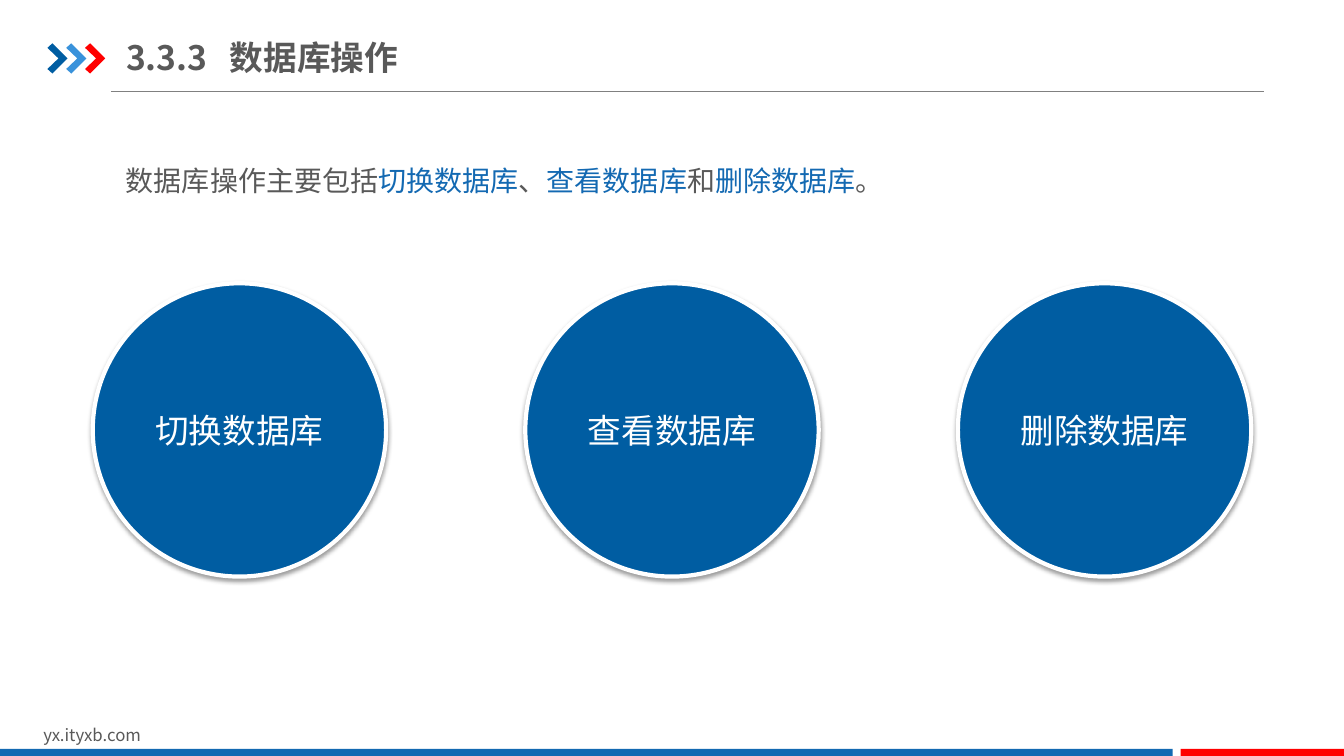
from lxml.etree import SubElement
from pptx import Presentation
from pptx.dml.color import RGBColor
from pptx.enum.shapes import MSO_CONNECTOR, MSO_SHAPE
from pptx.enum.text import MSO_ANCHOR, PP_ALIGN
from pptx.oxml.ns import qn
from pptx.util import Inches, Pt

FONT = "Noto Sans CJK SC"
HUES = {"navy": "005DA2", "sky": "3992DB", "red": "FF0000", "blue": "1369B2",
        "text": "595959", "rule": "808080", "white": "FFFFFF", "black": "000000"}
TASKS = ["切换数据库", "查看数据库", "删除数据库"]


def hue(name):
    """Return the named colour."""
    return RGBColor.from_string(HUES[name])


def cut(box, left, top, wide, high):
    """Return a part of a box, given in percent of its size."""
    x, y, w, h = box
    return (round(x + w * left / 100), round(y + h * top / 100),
            round(w * wide / 100), round(h * high / 100))


def style(run, size, name, bold=False):
    """Set the font of a run for Latin and Chinese text."""
    font = run.font
    font.size, font.bold, font.name = Pt(size), bold, FONT
    font.color.rgb = hue(name)
    SubElement(run._r.get_or_add_rPr(), qn("a:ea"), typeface=FONT)


def paint(shape, name):
    """Give a shape a plain fill without line or shadow."""
    shape.shadow.inherit = False
    shape.fill.solid()
    shape.fill.fore_color.rgb = hue(name)
    shape.line.fill.background()


def write(slide, box, parts, size, bold=False):
    """Add a wrapping text box made of (text, colour) parts."""
    frame = slide.shapes.add_textbox(*box).text_frame
    frame.word_wrap = True
    for text, name in parts:
        run = frame.paragraphs[0].add_run()
        run.text = text
        style(run, size, name, bold)
    return frame


def chevron(slide, box, name):
    """Draw one arrow-like mark that fills the box."""
    marks = [(0, 15), (25, 0), (100, 50), (25, 100), (0, 85), (55, 50)]
    dots = [cut(box, x, y, 0, 0)[:2] for x, y in marks]
    form = slide.shapes.build_freeform(*dots[0], scale=1.0)
    form.add_line_segments(dots[1:], close=True)
    paint(form.convert_to_shape(), name)


def header(slide, box):
    """Place the marks, the title and the rule below it."""
    x, y, w, _ = cut(box, 8.25, 91, 85.82, 0)
    rule = slide.shapes.add_connector(MSO_CONNECTOR.STRAIGHT, x, y, x + w, y)
    rule.line.color.rgb = hue("rule")
    rule.line.width = Pt(0.75)
    SubElement(rule._element.spPr, qn("a:effectLst"))
    for i, name in enumerate(["navy", "sky", "red"]):
        chevron(slide, cut(box, 3.53 + 1.4 * i, 43, 1.5, 30), name)
    frame = write(slide, cut(box, 9.38, 29, 47.71, 55),
                  [("3.3.3\t数据库操作", "text")], 24, True)
    frame.vertical_anchor = MSO_ANCHOR.MIDDLE
    frame.margin_left = frame.margin_right = 0
    tabs = SubElement(frame.paragraphs[0]._p.get_or_add_pPr(), qn("a:tabLst"))
    SubElement(tabs, qn("a:tab"), pos=str(Inches(1.03)), algn="l")


def lead(slide, box):
    """Place the sentence that names the three tasks."""
    parts = [("数据库操作主要包括", "text")]
    for task, mark in zip(TASKS, "、和。"):
        parts += [(task, "blue"), (mark, "text")]
    para = write(slide, box, parts, 20).paragraphs[0]
    para.alignment = PP_ALIGN.JUSTIFY
    para.line_spacing = 1.3


def shade(shape):
    """Add a soft shadow below a shape."""
    soft = SubElement(shape._element.spPr.find(qn("a:effectLst")), qn("a:outerShdw"),
                      blurRad=str(Pt(3.1)), dist=str(Pt(1.6)),
                      dir="5400000", algn="t", rotWithShape="0")
    tint = SubElement(soft, qn("a:srgbClr"), val=HUES["black"])
    SubElement(tint, qn("a:alpha"), val="38000")


def discs(slide, box):
    """Spread one disc per task evenly over the box."""
    x, y, w, size = box
    step = (w - size) // (len(TASKS) - 1)
    for i, task in enumerate(TASKS):
        disc = slide.shapes.add_shape(MSO_SHAPE.OVAL, x + i * step, y, size, size)
        paint(disc, "navy")
        disc.line.color.rgb = hue("white")
        disc.line.width = Pt(3)
        shade(disc)
        frame = disc.text_frame
        frame.text = task
        frame.vertical_anchor = MSO_ANCHOR.MIDDLE
        frame.paragraphs[0].alignment = PP_ALIGN.CENTER
        style(frame.paragraphs[0].runs[0], 24, "white")


def footer(slide, box):
    """Place the address and the two bars at the bottom."""
    write(slide, cut(box, 2.48, 0, 23.86, 83), [("yx.ityxb.com", "text")], 12)
    for left, wide, name in [(0, 87.25, "blue"), (87.85, 12.15, "red")]:
        bar = cut(box, left, 80.5, wide, 22)
        paint(slide.shapes.add_shape(MSO_SHAPE.RECTANGLE, *bar), name)


def main():
    """Build and save the slide."""
    deck = Presentation()
    deck.slide_width, deck.slide_height = Inches(13.33), Inches(7.5)
    slide = deck.slides.add_slide(deck.slide_layouts[6])
    page = (0, 0, deck.slide_width, deck.slide_height)
    header(slide, cut(page, 0, 0, 100, 13.33))
    footer(slide, cut(page, 0, 95.2, 100, 4.8))
    lead(slide, cut(page, 8.63, 19.6, 78.77, 6.67))
    discs(slide, cut(page, 6.9, 37.47, 86.2, 38.8))
    deck.save("out.pptx")


if __name__ == "__main__":
    main()
